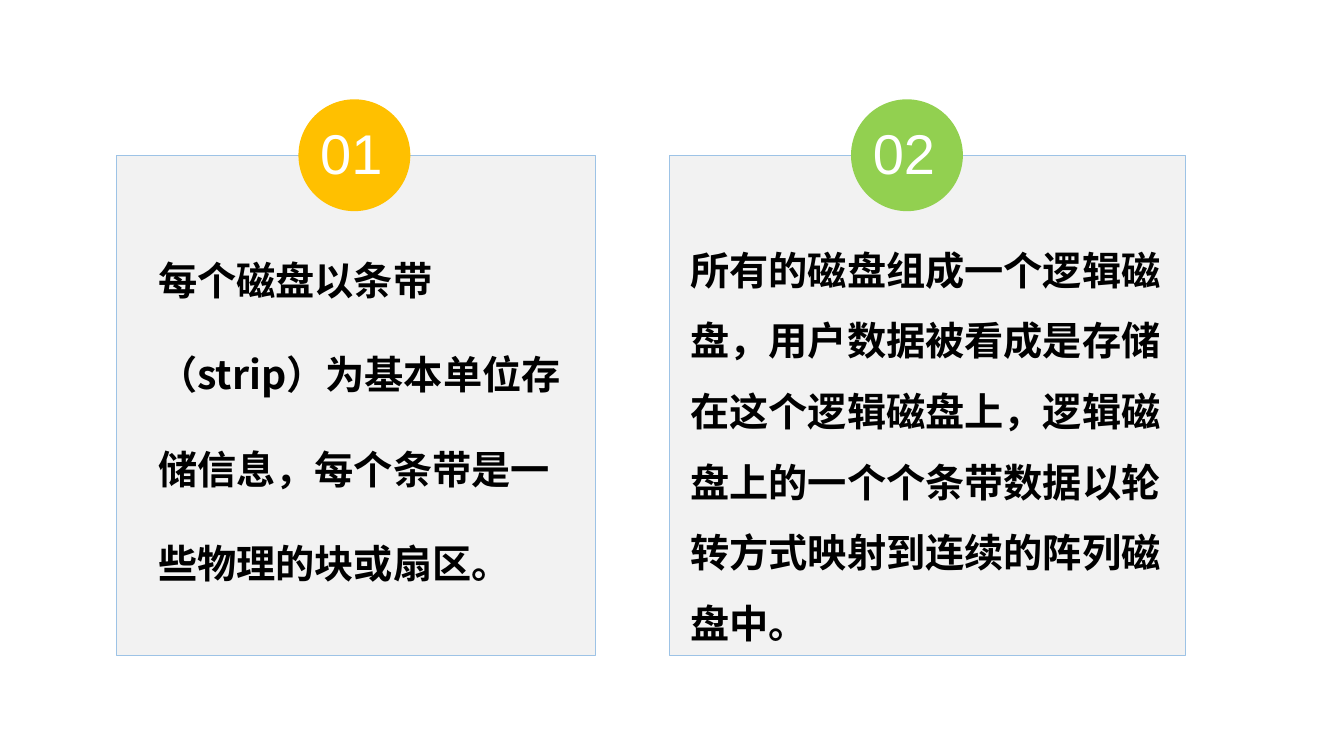
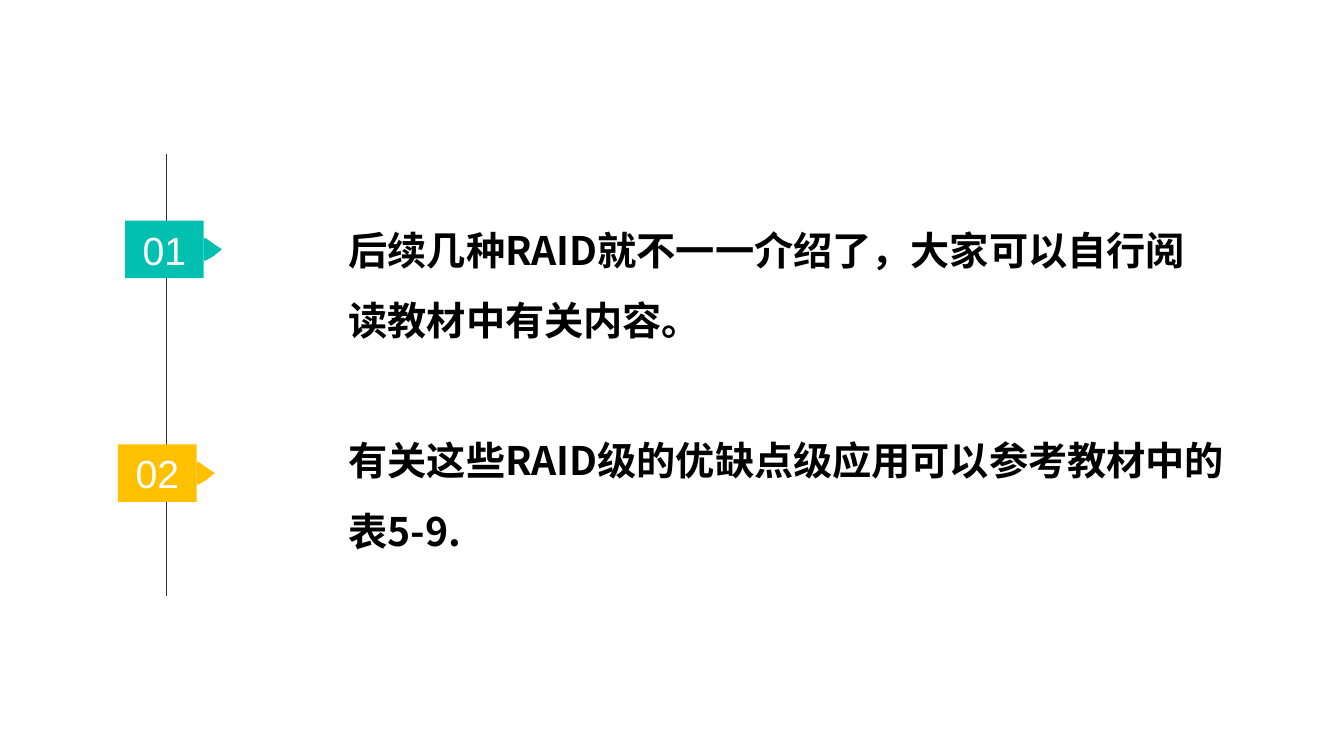
from lxml import etree
from pptx import Presentation
from pptx.dml.color import RGBColor
from pptx.enum import shapes, text
from pptx.oxml import ns
from pptx.util import Inches, Pt

BODY_FONT, NUMBER_FONT = "Noto Sans CJK SC", "Arial"
BLACK, WHITE = "000000", "FFFFFF"
AMBER, GREEN, TEAL = "FFC000", "92D050", "01C0B0"
CARD_FILL, CARD_LINE, AXIS_COLOR = "F2F2F2", "9DC3E6", "2E2C2C"

CARD_TOP, CARD_HEIGHT = 1.54, 4.96
BADGE_SIZE, BADGE_OFFSET = 1.11, 1.8
TAG_WIDTH, TAG_HEIGHT = 0.78, 0.57
POINTER_HEIGHT = 0.23
POINTER = [(0, 0.02), (0.01, 0), (0.03, 0.01), (0.1, 0.06), (0.16, 0.1),
           (0.18, 0.115), (0.16, 0.13), (0.1, 0.18), (0.03, 0.22),
           (0.01, 0.23), (0, 0.21)]


def rgb(color):
    return RGBColor.from_string(color)


def write(frame, content, size=28, font=BODY_FONT, color=BLACK, bold=False,
          align=text.PP_ALIGN.LEFT, leading=None):
    frame.word_wrap = True
    paragraph = frame.paragraphs[0]
    paragraph.alignment = align
    if leading:
        paragraph.line_spacing = Pt(leading)
    run = paragraph.add_run()
    run.text = content
    run.font.name, run.font.size, run.font.bold = font, Pt(size), bold
    run.font.color.rgb = rgb(color)
    east_asian = etree.SubElement(run.font._element, ns.qn("a:ea"))
    east_asian.set("typeface", font)


def paint(shape, fill, line=None):
    shape.shadow.inherit = False
    shape.fill.solid()
    shape.fill.fore_color.rgb = rgb(fill)
    if line:
        shape.line.color.rgb = rgb(line)
        shape.line.width = Pt(0.75)
    else:
        shape.line.fill.background()


def add_block(slide, preset, box, fill, line=None):
    block = slide.shapes.add_shape(preset, *map(Inches, box))
    paint(block, fill, line)
    return block


def add_statement(slide, box, content, leading=50.4):
    statement = slide.shapes.add_textbox(*map(Inches, box))
    write(statement.text_frame, content, bold=True, leading=leading)


def write_number(block, number, size, nudge=0):
    """Centre a number in a block, moved up and left by half the nudge."""
    frame = block.text_frame
    frame.vertical_anchor = text.MSO_ANCHOR.MIDDLE
    frame.margin_left = frame.margin_top = 0
    frame.margin_right = frame.margin_bottom = Inches(nudge)
    write(frame, number, size=size, font=NUMBER_FONT, color=WHITE,
          align=text.PP_ALIGN.CENTER)


def add_card(slide, left, width, number, color):
    add_block(slide, shapes.MSO_SHAPE.RECTANGLE,
              (left, CARD_TOP, width, CARD_HEIGHT), CARD_FILL, CARD_LINE)
    badge = add_block(slide, shapes.MSO_SHAPE.OVAL,
                      (left + BADGE_OFFSET, CARD_TOP - BADGE_SIZE / 2,
                       BADGE_SIZE, BADGE_SIZE), color)
    write_number(badge, number, 40, nudge=0.06)


def add_tag(slide, left, top, number, color):
    """Add a numbered tag with a rounded pointer on its right."""
    outline = [(Inches(x), Inches(y)) for x, y in POINTER]
    builder = slide.shapes.build_freeform(*outline[0])
    builder.add_line_segments(outline[1:], close=True)
    pointer = builder.convert_to_shape(
        Inches(left + TAG_WIDTH),
        Inches(top + (TAG_HEIGHT - POINTER_HEIGHT) / 2))
    paint(pointer, color)
    tag = add_block(slide, shapes.MSO_SHAPE.RECTANGLE,
                    (left, top, TAG_WIDTH, TAG_HEIGHT), color)
    write_number(tag, number, 28)


def add_axis(slide, x, top, bottom):
    axis = slide.shapes.add_connector(
        shapes.MSO_CONNECTOR.STRAIGHT, *map(Inches, (x, top, x, bottom)))
    axis.line.color.rgb = rgb(AXIS_COLOR)
    axis.line.width = Pt(1)
    etree.SubElement(axis._element.spPr, ns.qn("a:effectLst"))


def build_stripes(slide):
    add_card(slide, 1.16, 4.75, "01", AMBER)
    add_card(slide, 6.64, 5.12, "02", GREEN)
    add_statement(slide, (1.47, 2.02, 4.27, 3.87),
                  "每个磁盘以条带（strip）为基本单位存储信息，"
                  "每个条带是一些物理的块或扇区。", leading=67.5)
    add_statement(slide, (6.75, 2.16, 5.01, 4.76),
                  "所有的磁盘组成一个逻辑磁盘，用户数据被看成是存储在这个逻辑磁盘上，"
                  "逻辑磁盘上的一个个条带数据以轮转方式映射到连续的阵列磁盘中。")


def build_reading(slide):
    add_axis(slide, 1.65, 1.53, 5.91)
    add_tag(slide, 1.24, 2.19, "01", TEAL)
    add_tag(slide, 1.17, 4.41, "02", AMBER)
    add_statement(slide, (3.36, 1.96, 8.77, 1.51),
                  "后续几种RAID就不一一介绍了，大家可以自行阅读教材中有关内容。")
    add_statement(slide, (3.36, 4.05, 8.94, 1.51),
                  "有关这些RAID级的优缺点级应用可以参考教材中的表5-9.")


def main():
    deck = Presentation()
    deck.slide_width, deck.slide_height = Inches(13.33), Inches(7.5)
    blank = deck.slide_layouts[6]
    for build in (build_stripes, build_reading):
        build(deck.slides.add_slide(blank))
    deck.save("out.pptx")


if __name__ == "__main__":
    main()
